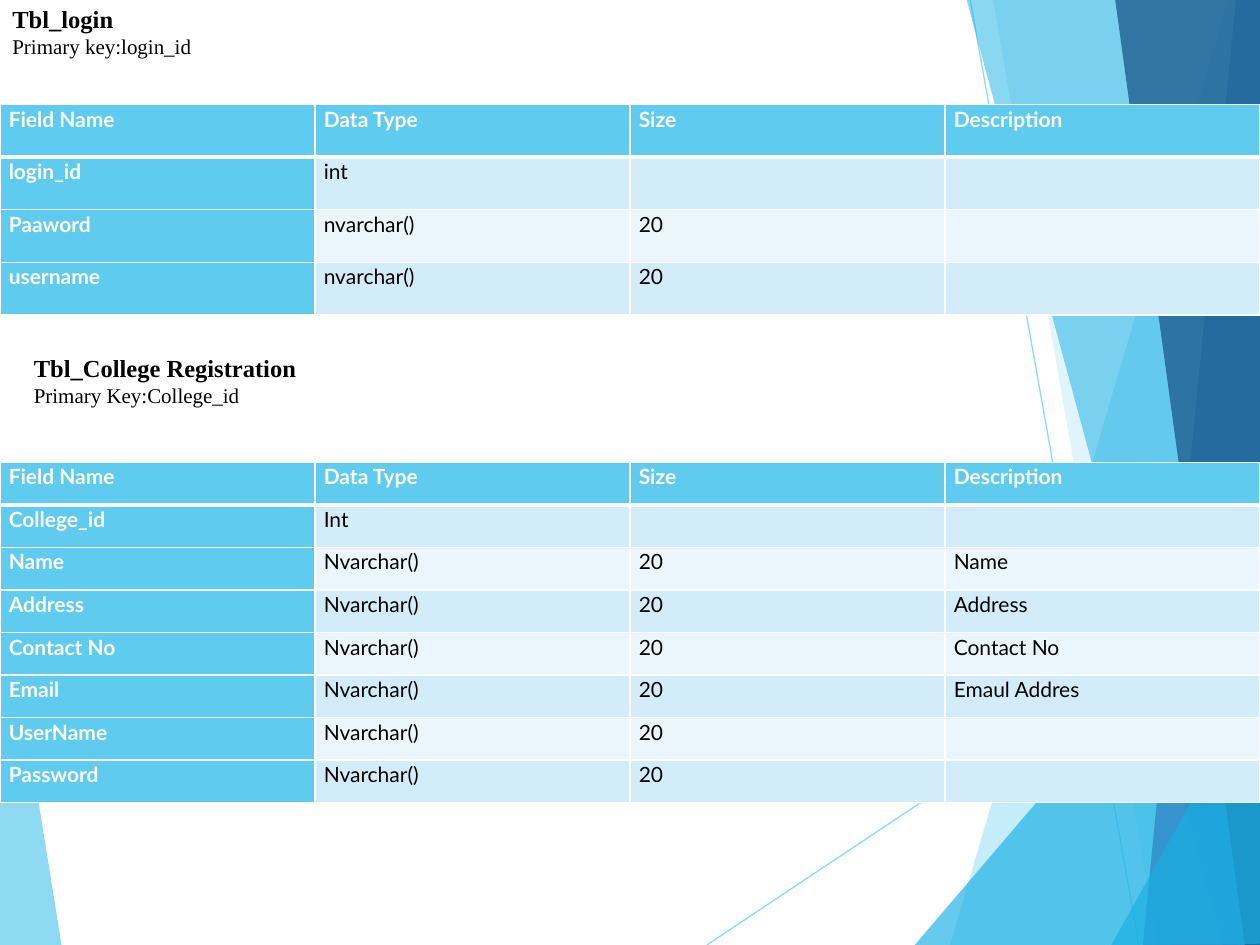
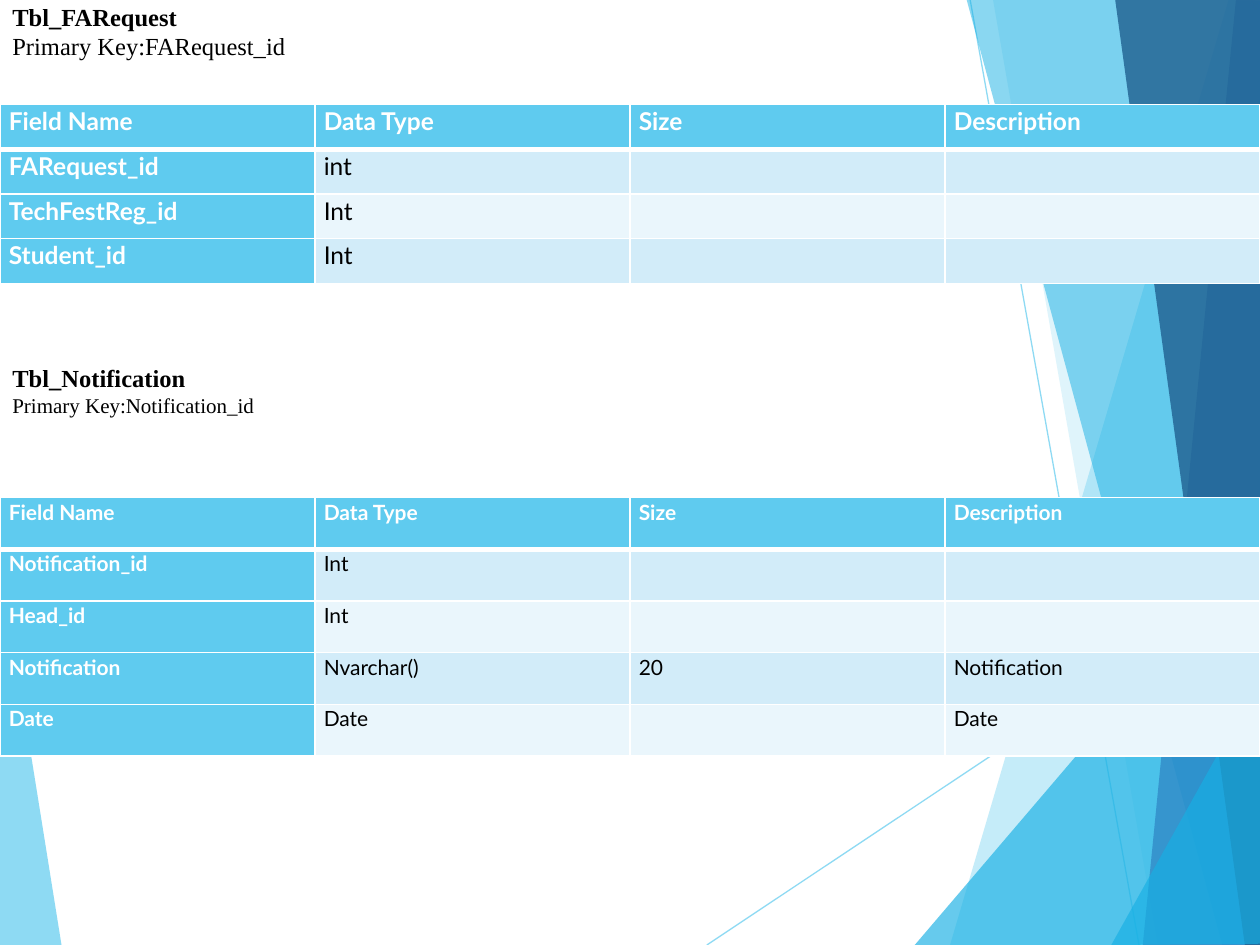
from lxml.etree import SubElement
from pptx import Presentation
from pptx.dml.color import RGBColor
from pptx.enum.shapes import MSO_CONNECTOR as Connector
from pptx.enum.text import MSO_ANCHOR as Anchor, MSO_AUTO_SIZE as AutoSize
from pptx.oxml.ns import qn
from pptx.util import Inches, Pt

# Shared look
SKY, AZURE, BLUE, NAVY = "5FCBEF", "17B0E4", "2E83C3", "226292"
WHITE, BLACK = "FFFFFF", "000000"
BANDS = ("D2ECF9", "EAF6FC")
TABLE_FONT, CAPTION_FONT = "Lato", "Times New Roman"
HEADINGS = ("Field Name", "Data Type", "Size", "Description")
SLIDE_BOX = (0, 0, 10, 7.5)

# Facets: colour, opacity in percent, corners in inches
LEFT_FACET = (SKY, 70, [(-0.01, 4.39), (0.49, 7.51), (-0.01, 7.5)])
RIGHT_FACETS = [
    (SKY, 36, [(9.75, 0), (7.54, 7.5), (10.02, 7.51), (10.01, 0.01)]),
    (SKY, 20, [(7.88, -0.01), (9.19, 7.5), (10.01, 7.5), (10.01, -0.01)]),
    (AZURE, 66, [(7.26, 7.5), (10, 4.29), (10.01, 7.5)]),
    (AZURE, 50, [(7.67, -0.01), (9.7, 7.5), (10.01, 7.49), (10.01, -0.01)]),
    (BLUE, 70, [(9.81, -0.01), (9.07, 7.5), (10.01, 7.5), (10, -0.01)]),
    (NAVY, 82, [(8.85, -0.01), (9.88, 7.5), (10.02, 7.5), (10, -0.01)]),
    (AZURE, 66, [(8.82, 7.5), (10.02, 5.35), (10.02, 7.49)]),
]
RAYS = [((5.61, 7.5), (10.01, 4.57)), ((7.7, 0), (9.04, 7.5))]

# Each section: caption, caption box, table box, sizes and field rows
LOGIN = dict(
    title="Tbl_login", key="Primary key:login_id",
    caption_box=(0, 0, 10, 0.5), table_box=(0, 0.83, 10, 1.67),
    fields=[
        ("login_id", "int", "", ""),
        ("Paaword", "nvarchar()", "20", ""),
        ("username", "nvarchar()", "20", ""),
    ])
COLLEGE = dict(
    title="Tbl_College Registration", key="Primary Key:College_id",
    caption_box=(0.17, 2.92, 10, 0.5), table_box=(0, 3.67, 10, 2.7), room_below=0.3,
    fields=[
        ("College_id", "Int", "", ""),
        ("Name", "Nvarchar()", "20", "Name"),
        ("Address", "Nvarchar()", "20", "Address"),
        ("Contact No", "Nvarchar()", "20", "Contact No"),
        ("Email", "Nvarchar()", "20", "Emaul Addres"),
        ("UserName", "Nvarchar()", "20", ""),
        ("Password", "Nvarchar()", "20", ""),
    ])
REQUEST = dict(
    title="Tbl_FARequest", key="Primary Key:FARequest_id",
    caption_box=(0, 0, 10, 0.5), table_box=(0, 0.83, 10, 1.42),
    key_size=14, table_size=14,
    fields=[
        ("FARequest_id", "int", "", ""),
        ("TechFestReg_id", "Int", "", ""),
        ("Student_id", "Int", "", ""),
    ])
NOTIFICATION = dict(
    title="Tbl_Notification", key="Primary Key:Notification_id",
    caption_box=(0, 3, 10, 0.5), table_box=(0, 3.95, 10, 2.05), room_below=0.3,
    fields=[
        ("Notification_id", "Int", "", ""),
        ("Head_id", "Int", "", ""),
        ("Notification", "Nvarchar()", "20", "Notification"),
        ("Date", "Date", "", "Date"),
    ])


def rgb(color):
    return RGBColor.from_string(color)


def set_opacity(color_parent, percent):
    color = next(color_parent.iter(qn("a:srgbClr")))
    SubElement(color, qn("a:alpha"), val=str(percent * 1000))


def write(paragraph, text, font=TABLE_FONT, size=12, color=BLACK, bold=False, spacing=1.0):
    paragraph.line_spacing = spacing
    run = paragraph.add_run()
    run.text = text
    run.font.name, run.font.size, run.font.bold = font, Pt(size), bold
    run.font.color.rgb = rgb(color)


def add_facet(slide, box, color, opacity, corners):
    left, top = box[:2]
    points = [(Inches(left + x), Inches(top + y)) for x, y in corners]
    builder = slide.shapes.build_freeform(*points[0])
    builder.add_line_segments(points[1:], close=True)
    facet = builder.convert_to_shape()
    facet.shadow.inherit = False
    facet.line.fill.background()
    facet.fill.solid()
    facet.fill.fore_color.rgb = rgb(color)
    set_opacity(facet.element.spPr, opacity)


def add_ray(slide, box, start, end):
    left, top = box[:2]
    ends = [Inches(v) for x, y in (start, end) for v in (left + x, top + y)]
    ray = slide.shapes.add_connector(Connector.STRAIGHT, *ends)
    ray.line.width = Pt(0.75)
    ray.line.color.rgb = rgb(SKY)
    properties = ray.element.spPr
    set_opacity(properties, 70)
    SubElement(properties, qn("a:effectLst"))


def add_backdrop(slide, box):
    add_facet(slide, box, *LEFT_FACET)
    for start, end in RAYS:
        add_ray(slide, box, start, end)
    for facet in RIGHT_FACETS:
        add_facet(slide, box, *facet)


def add_caption(slide, box, title, key, key_size, room_below):
    frame = slide.shapes.add_textbox(*map(Inches, box)).text_frame
    frame.word_wrap = True
    frame.auto_size = AutoSize.SHAPE_TO_FIT_TEXT
    frame.vertical_anchor = Anchor.MIDDLE
    frame.margin_bottom = Inches(0.05 + room_below)
    write(frame.paragraphs[0], title, font=CAPTION_FONT, size=14, bold=True)
    write(frame.add_paragraph(), key, font=CAPTION_FONT, size=key_size)


def set_borders(cell, top, bottom):
    properties = cell._tc.get_or_add_tcPr()
    widths = {"a:lnL": 1, "a:lnR": 1, "a:lnT": top, "a:lnB": bottom}
    for position, (tag, width) in enumerate(widths.items()):
        border = SubElement(properties, qn(tag), w=str(Pt(width)))
        fill = SubElement(border, qn("a:solidFill"))
        SubElement(fill, qn("a:srgbClr"), val=WHITE)
        properties.insert(position, border)


def add_field_table(slide, box, fields, size):
    rows = [HEADINGS, *fields]
    grid = slide.shapes.add_table(len(rows), len(HEADINGS), *map(Inches, box)).table
    grid.first_col = True
    for column in grid.columns:
        column.width = Inches(box[2] / len(HEADINGS))
    for r, values in enumerate(rows):
        grid.rows[r].height = Inches(box[3] / len(rows))
        for c, value in enumerate(values):
            cell = grid.cell(r, c)
            is_label = r == 0 or c == 0
            cell.margin_left = cell.margin_right = Inches(0.07)
            cell.margin_top = cell.margin_bottom = 0
            cell.fill.solid()
            cell.fill.fore_color.rgb = rgb(SKY if is_label else BANDS[(r - 1) % 2])
            # A thick rule parts the headings from the fields
            set_borders(cell, top=3 if r == 1 else 1, bottom=3 if r == 0 else 1)
            if value:
                write(cell.text_frame.paragraphs[0], value, size=size, bold=is_label,
                      color=WHITE if is_label else BLACK, spacing=1.07)


def add_section(slide, title, key, caption_box, table_box, fields,
                key_size=12, table_size=12, room_below=0):
    add_field_table(slide, table_box, fields, table_size)
    add_caption(slide, caption_box, title, key, key_size, room_below)


def main():
    deck = Presentation()
    deck.slide_width, deck.slide_height = Inches(10), Inches(7.5)
    for sections in ((LOGIN, COLLEGE), (REQUEST, NOTIFICATION)):
        slide = deck.slides.add_slide(deck.slide_layouts[6])
        add_backdrop(slide, SLIDE_BOX)
        for section in sections:
            add_section(slide, **section)
    deck.save("out.pptx")


if __name__ == "__main__":
    main()
